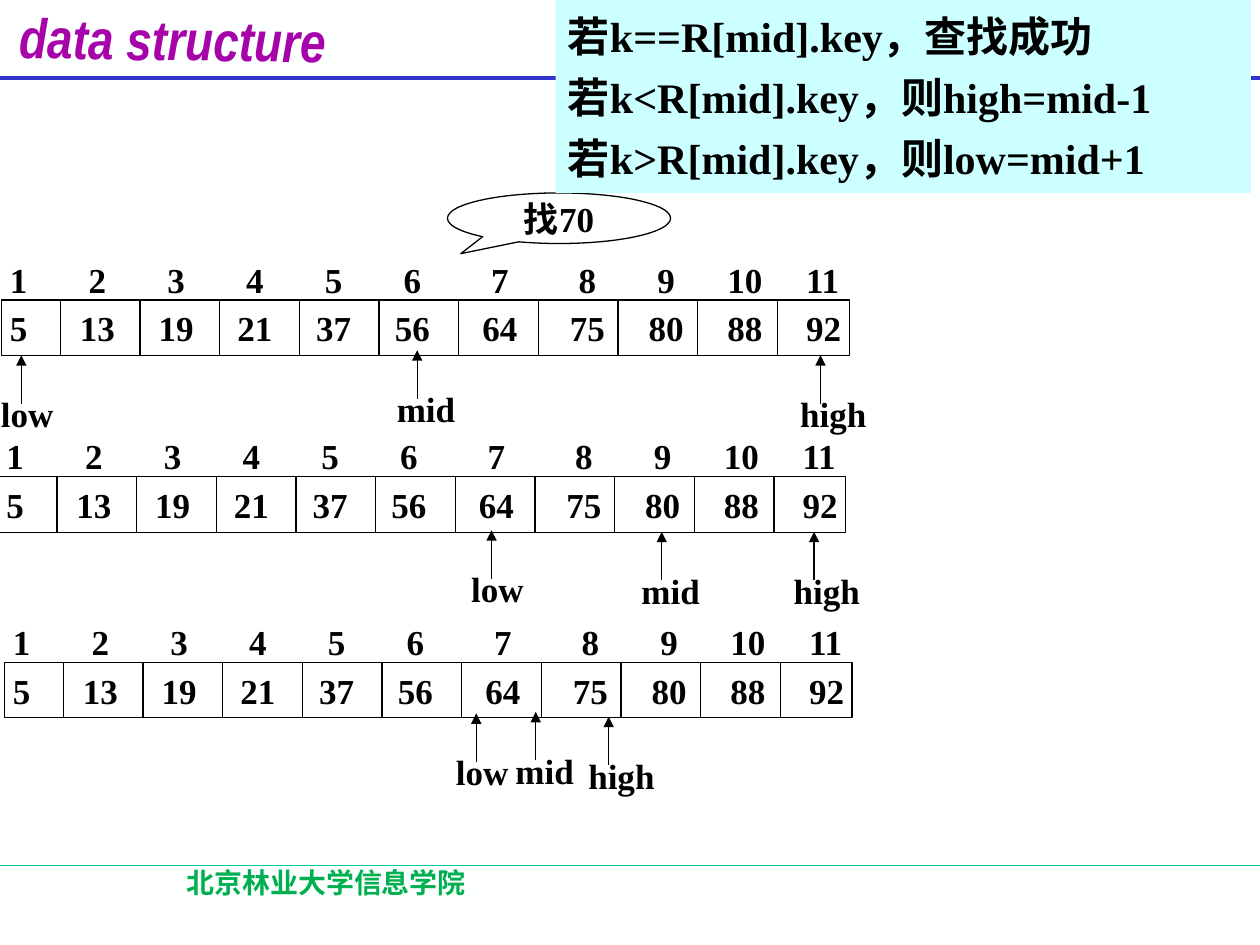
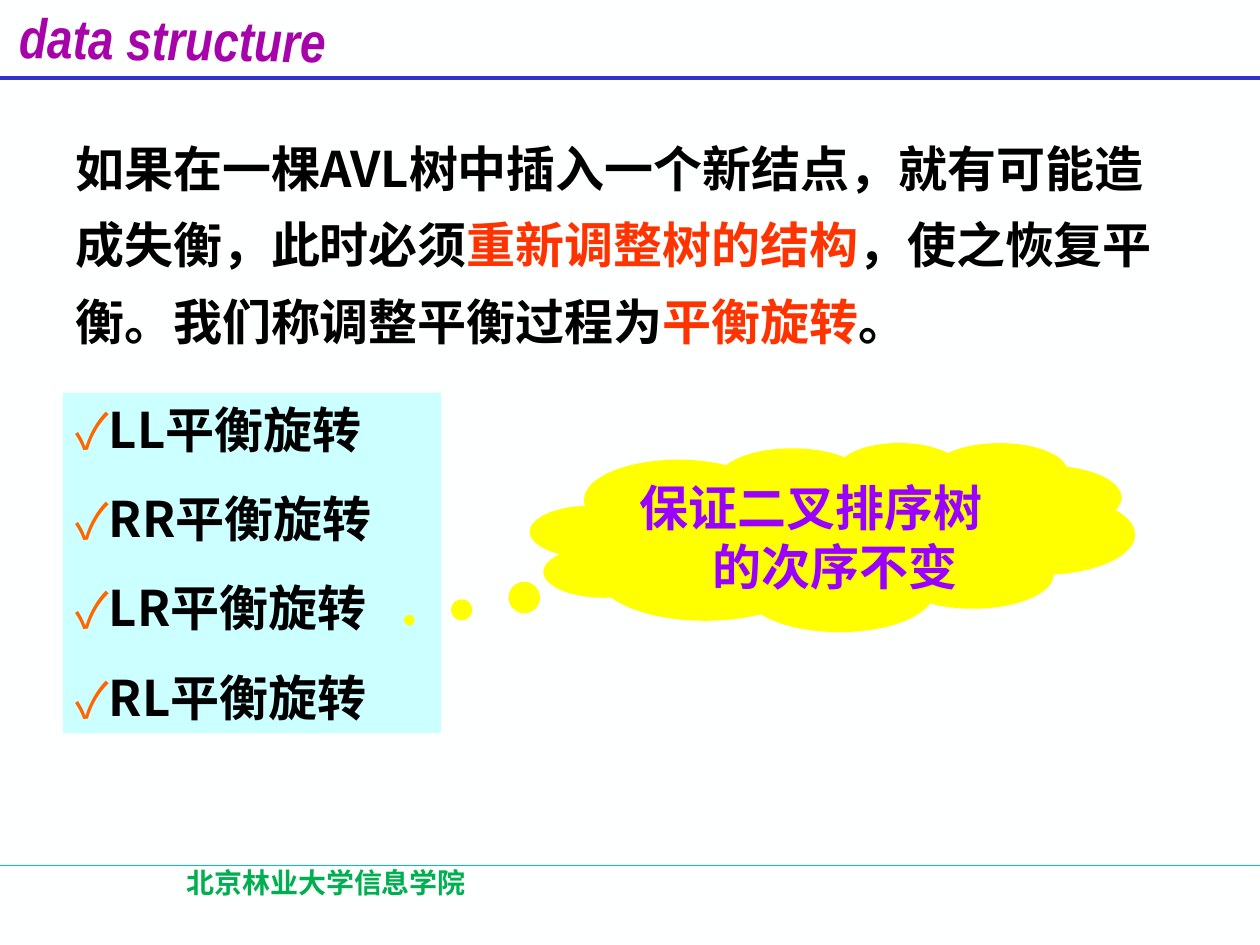
import itertools
from dataclasses import dataclass

import lxml.etree
import pptx
import pptx.dml.color
import pptx.enum.shapes
import pptx.enum.text
import pptx.oxml.ns
import pptx.shapes.autoshape
import pptx.shapes.connector
import pptx.slide
import pptx.util

Cm = pptx.util.Cm
Pt = pptx.util.Pt
RGBColor = pptx.dml.color.RGBColor
Shapes = pptx.enum.shapes.MSO_SHAPE
Align = pptx.enum.text.PP_ALIGN
Anchor = pptx.enum.text.MSO_ANCHOR
Shape = pptx.shapes.autoshape.Shape
Connector = pptx.shapes.connector.Connector
Slide = pptx.slide.Slide

PAPER = RGBColor(0xFE, 0xFF, 0xFF)
BLACK = RGBColor(0x00, 0x00, 0x00)
HEADER_BLUE = RGBColor(0x33, 0x33, 0xCC)
FOOTER_TEAL = RGBColor(0x00, 0xCC, 0x99)
FOOTER_GREEN = RGBColor(0x00, 0xB0, 0x50)
TITLE_PURPLE = RGBColor(0xA6, 0x03, 0xAB)
PANEL_CYAN = RGBColor(0xCC, 0xFF, 0xFF)
CLOUD_YELLOW = RGBColor(0xFF, 0xFF, 0x00)
CLOUD_VIOLET = RGBColor(0x99, 0x00, 0xFF)
EMPHASIS_RED = RGBColor(0xFF, 0x33, 0x00)
CHECK_ORANGE = RGBColor(0xFF, 0x66, 0x00)

SANS = "Noto Sans CJK SC"
SERIF = "Times New Roman"
NARROW = "Arial Narrow"


@dataclass(frozen=True)
class Box:
    """Place on the slide, in centimetres."""
    left: float
    top: float
    width: float
    height: float

    def lengths(self) -> tuple:
        return Cm(self.left), Cm(self.top), Cm(self.width), Cm(self.height)


@dataclass(frozen=True)
class Style:
    size: int
    font: str
    color: RGBColor = BLACK
    italic: bool = False


@dataclass(frozen=True)
class Marker:
    label: str
    x: float
    tip: float


@dataclass(frozen=True)
class SearchStep:
    left: float
    top: float
    markers: tuple[Marker, ...]


@dataclass(frozen=True)
class NumberRow:
    """Numbers, with the gap before each one in half-digit units."""
    numbers: tuple[int, ...]
    gaps: tuple[int, ...]


ARRAY_STYLE = Style(20, SERIF)
RULE_STYLE = Style(24, SERIF)
BODY_STYLE = Style(28, SANS)
EMPHASIS_STYLE = Style(28, SANS, EMPHASIS_RED)

# Binary search data
HALF_DIGIT = Cm(12.7) // 72
INDEXES = NumberRow(tuple(range(1, 12)), (7, 7, 7, 7, 7, 8, 8, 7, 6, 5))
KEYS = NumberRow((5, 13, 19, 21, 37, 56, 64, 75, 80, 88, 92),
                 (6, 5, 5, 5, 5, 6, 6, 5, 5, 5))
ARRAY_WIDTH, ARRAY_HEIGHT = 17.09, 1.12
FIRST_DIVIDER, LAST_DIVIDER = 1.19, 15.64
LABEL_WIDTHS = {"low": 1.55, "mid": 1.68, "high": 1.83}
STEPS = (
    SearchStep(0.03, 6.05, (Marker("low", 0.43, 7.16), Marker("high", 16.54, 7.16),
                            Marker("mid", 8.41, 7.06))),
    SearchStep(-0.04, 9.61, (Marker("low", 9.91, 10.69), Marker("high", 16.41, 10.72),
                             Marker("mid", 13.34, 10.72))),
    SearchStep(0.09, 13.35, (Marker("low", 9.6, 14.38), Marker("high", 12.27, 14.45),
                             Marker("mid", 10.8, 14.35))),
)
RULES = ("若k==R[mid].key，查找成功",
         "若k<R[mid].key，则high=mid-1",
         "若k>R[mid].key，则low=mid+1")

# Balance rotation data
ROTATION_TEXT = (
    ("如果在一棵AVL树中插入一个新结点，就有可能造成失衡，此时必须", BODY_STYLE),
    ("重新调整树的结构", EMPHASIS_STYLE),
    ("，使之恢复平衡。我们称调整平衡过程为", BODY_STYLE),
    ("平衡旋转", EMPHASIS_STYLE),
    ("。", BODY_STYLE),
)
ROTATIONS = ("LL", "RR", "LR", "RL")


def child(parent, tag: str, **attributes: str):
    return lxml.etree.SubElement(parent, pptx.oxml.ns.qn(tag), attributes)


def add_run(paragraph, text: str, style: Style) -> None:
    run = paragraph.add_run()
    run.text = text
    font = run.font
    font.size, font.bold, font.italic = Pt(style.size), True, style.italic
    font.color.rgb = style.color
    font.name = style.font
    child(font._element, "a:ea", typeface=SANS)


def add_text(slide: Slide, box: Box, text: str, style: Style, wrap: bool = False,
             align=Align.LEFT) -> Shape:
    text_box = slide.shapes.add_textbox(*box.lengths())
    frame = text_box.text_frame
    frame.word_wrap = wrap
    if not wrap:
        frame.margin_right = Cm(0)  # room to keep the text on one line
    paragraph = frame.paragraphs[0]
    paragraph.alignment = align
    add_run(paragraph, text, style)
    return text_box


def add_panel(slide: Slide, kind, box: Box, fill: RGBColor | None = None,
              outlined: bool = False, anchor=Anchor.MIDDLE) -> Shape:
    panel = slide.shapes.add_shape(kind, *box.lengths())
    panel.shadow.inherit = False
    if fill is None:
        panel.fill.background()
    else:
        panel.fill.solid()
        panel.fill.fore_color.rgb = fill
    if outlined:
        panel.line.color.rgb = BLACK
        panel.line.width = Pt(0.75)
    else:
        panel.line.fill.background()
    panel.text_frame.word_wrap = True
    panel.text_frame.vertical_anchor = anchor
    return panel


def add_line(slide: Slide, start: tuple[float, float], end: tuple[float, float],
             color: RGBColor = BLACK, width: float = 0.75, arrow: bool = False) -> Connector:
    line = slide.shapes.add_connector(
        pptx.enum.shapes.MSO_CONNECTOR.STRAIGHT,
        Cm(start[0]), Cm(start[1]), Cm(end[0]), Cm(end[1]))
    line.line.color.rgb = color
    line.line.width = Pt(width)
    if arrow:
        child(line.line._get_or_add_ln(), "a:tailEnd", type="triangle")
    child(line._element.spPr, "a:effectLst")
    return line


def add_paragraphs(panel: Shape, texts: tuple[str, ...], style: Style,
                   space_before: float, check: bool = False) -> None:
    frame = panel.text_frame
    for position, text in enumerate(texts):
        paragraph = frame.add_paragraph() if position else frame.paragraphs[0]
        paragraph.alignment = Align.LEFT
        if position:
            paragraph.space_before = Pt(space_before)
        if check:
            properties = paragraph._p.get_or_add_pPr()
            child(child(properties, "a:buClr"), "a:srgbClr", val=str(CHECK_ORANGE))
            child(properties, "a:buFont", typeface=SANS)
            child(properties, "a:buChar", char="✓")
        add_run(paragraph, text, style)


def fill_number_row(holder: Shape, row: NumberRow) -> None:
    """Put the numbers on tab stops, each one after the last number and its gap."""
    frame = holder.text_frame
    frame.word_wrap = True
    frame.margin_left, frame.margin_right = Cm(0.17), Cm(0)
    paragraph = frame.paragraphs[0]
    paragraph.alignment = Align.LEFT
    labels = [str(number) for number in row.numbers]
    tabs = child(paragraph._p.get_or_add_pPr(), "a:tabLst")
    steps = (2 * len(label) + gap for label, gap in zip(labels, row.gaps))
    for units in itertools.accumulate(steps):
        child(tabs, "a:tab", pos=str(units * HALF_DIGIT), algn="l")
    add_run(paragraph, "\t".join(labels), ARRAY_STYLE)


def add_search_step(slide: Slide, step: SearchStep) -> None:
    # Index line and array cells
    index_box = Box(step.left, step.top - 0.97, ARRAY_WIDTH, ARRAY_HEIGHT)
    fill_number_row(slide.shapes.add_textbox(*index_box.lengths()), INDEXES)
    array_box = Box(step.left, step.top, ARRAY_WIDTH, ARRAY_HEIGHT)
    fill_number_row(add_panel(slide, Shapes.RECTANGLE, array_box, outlined=True), KEYS)
    divider_count = len(KEYS.numbers) - 1
    pitch = (LAST_DIVIDER - FIRST_DIVIDER) / (divider_count - 1)
    for divider in range(divider_count):
        x = step.left + FIRST_DIVIDER + divider * pitch
        add_line(slide, (x, step.top), (x, step.top + ARRAY_HEIGHT))
    # low, mid and high pointers
    for marker in step.markers:
        add_line(slide, (marker.x, marker.tip + 0.98), (marker.x, marker.tip), arrow=True)
        label_box = Box(marker.x - 0.66, marker.tip + 0.63, LABEL_WIDTHS[marker.label], 1.12)
        add_text(slide, label_box, marker.label, ARRAY_STYLE)


def add_course_slide(deck) -> Slide:
    """Blank slide with the course header and footer."""
    slide = deck.slides.add_slide(deck.slide_layouts[6])
    slide.background.fill.solid()
    slide.background.fill.fore_color.rgb = PAPER
    add_line(slide, (0, 17.45), (25.4, 17.45), FOOTER_TEAL)
    add_line(slide, (0, 1.57), (25.4, 1.57), HEADER_BLUE, 2.25)
    course = add_text(slide, Box(0.14, -0.03, 6.7, 1.37), "data structure",
                      Style(32, NARROW, TITLE_PURPLE, italic=True))
    course.rotation = 0.8
    add_text(slide, Box(1.32, 17.32, 10.52, 1.27), "北京林业大学信息学院",
             Style(16, SANS, FOOTER_GREEN), wrap=True, align=Align.CENTER)
    return slide


def build_search_slide(deck) -> None:
    slide = add_course_slide(deck)
    for step in STEPS:
        add_search_step(slide, step)
    # Search target
    target = add_panel(slide, Shapes.OVAL_CALLOUT, Box(9.02, 3.89, 4.5, 1.02), outlined=True)
    target.adjustments[0], target.adjustments[1] = -0.44, 0.7
    target.text_frame.word_wrap = False
    target.text_frame.paragraphs[0].alignment = Align.CENTER
    add_run(target.text_frame.paragraphs[0], "找70", ARRAY_STYLE)
    # Comparison rules
    rules = add_panel(slide, Shapes.RECTANGLE, Box(11.2, 0, 14.02, 3.89), PANEL_CYAN)
    add_paragraphs(rules, RULES, RULE_STYLE, 6)


def build_rotation_slide(deck) -> None:
    slide = add_course_slide(deck)
    # Explanation
    explanation = slide.shapes.add_textbox(*Box(1.27, 2.31, 22.23, 4.88).lengths())
    explanation.text_frame.word_wrap = True
    paragraph = explanation.text_frame.paragraphs[0]
    paragraph.line_spacing = 1.3
    for text, style in ROTATION_TEXT:
        add_run(paragraph, text, style)
    # Four kinds of rotation
    kinds = add_panel(slide, Shapes.RECTANGLE, Box(1.27, 7.92, 7.62, 6.86), PANEL_CYAN,
                      anchor=Anchor.TOP)
    add_paragraphs(kinds, tuple(f"{kind}平衡旋转" for kind in ROTATIONS), BODY_STYLE,
                   17.5, check=True)
    # Invariant
    invariant = add_panel(slide, Shapes.CLOUD_CALLOUT, Box(10.69, 8.92, 12.19, 3.81),
                          CLOUD_YELLOW, anchor=Anchor.TOP)
    invariant.adjustments[0], invariant.adjustments[1] = -0.7, 0.44
    paragraph = invariant.text_frame.paragraphs[0]
    paragraph.alignment = Align.CENTER
    properties = paragraph._p.get_or_add_pPr()
    properties.set("marL", str(Cm(0.97)))
    properties.set("indent", str(-Cm(0.97)))
    add_run(paragraph, "保证二叉排序树的次序不变", Style(28, SERIF, CLOUD_VIOLET))


def main() -> None:
    deck = pptx.Presentation()
    deck.slide_width, deck.slide_height = Cm(25.4), Cm(19.05)
    build_search_slide(deck)
    build_rotation_slide(deck)
    deck.save("out.pptx")


if __name__ == "__main__":
    main()
